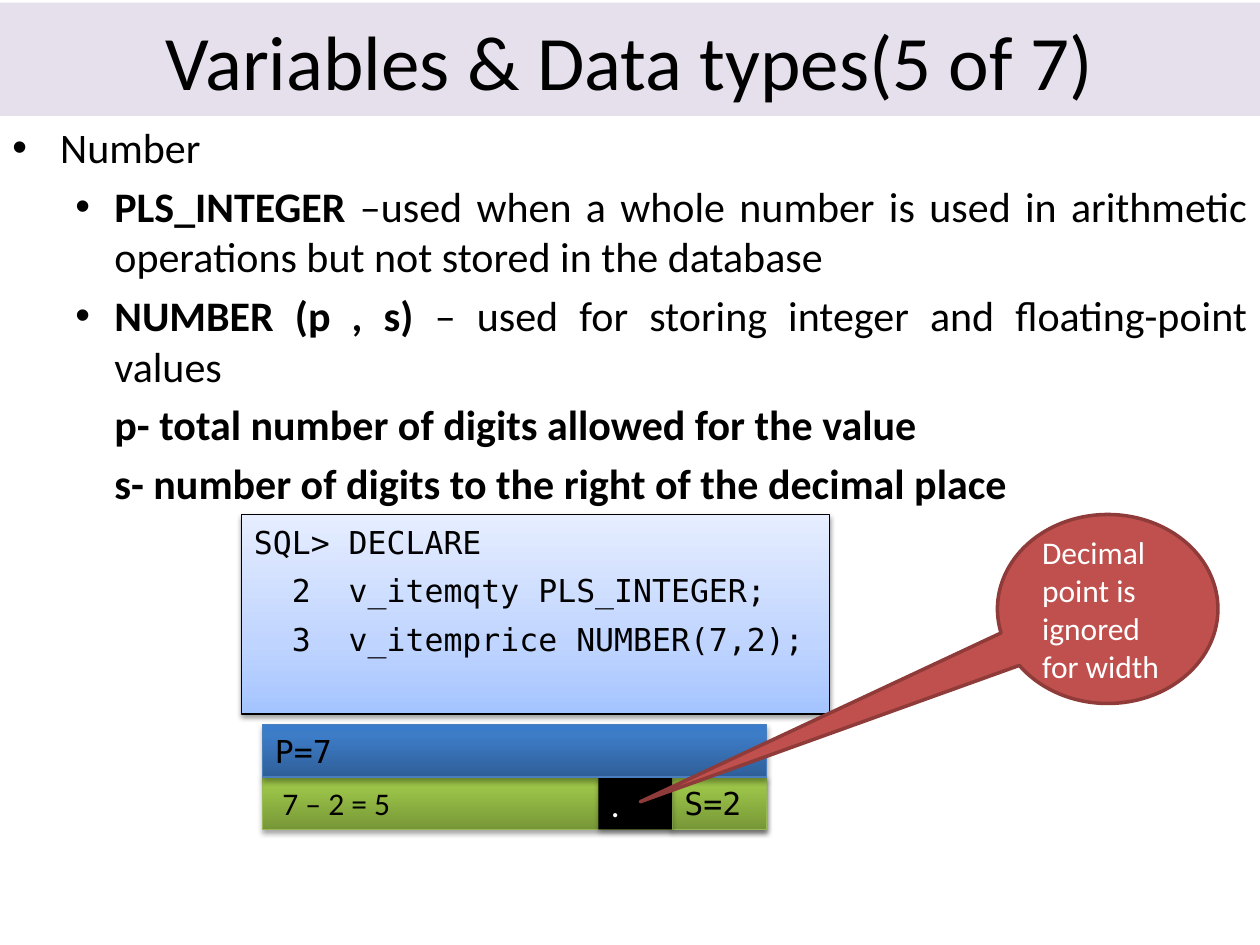
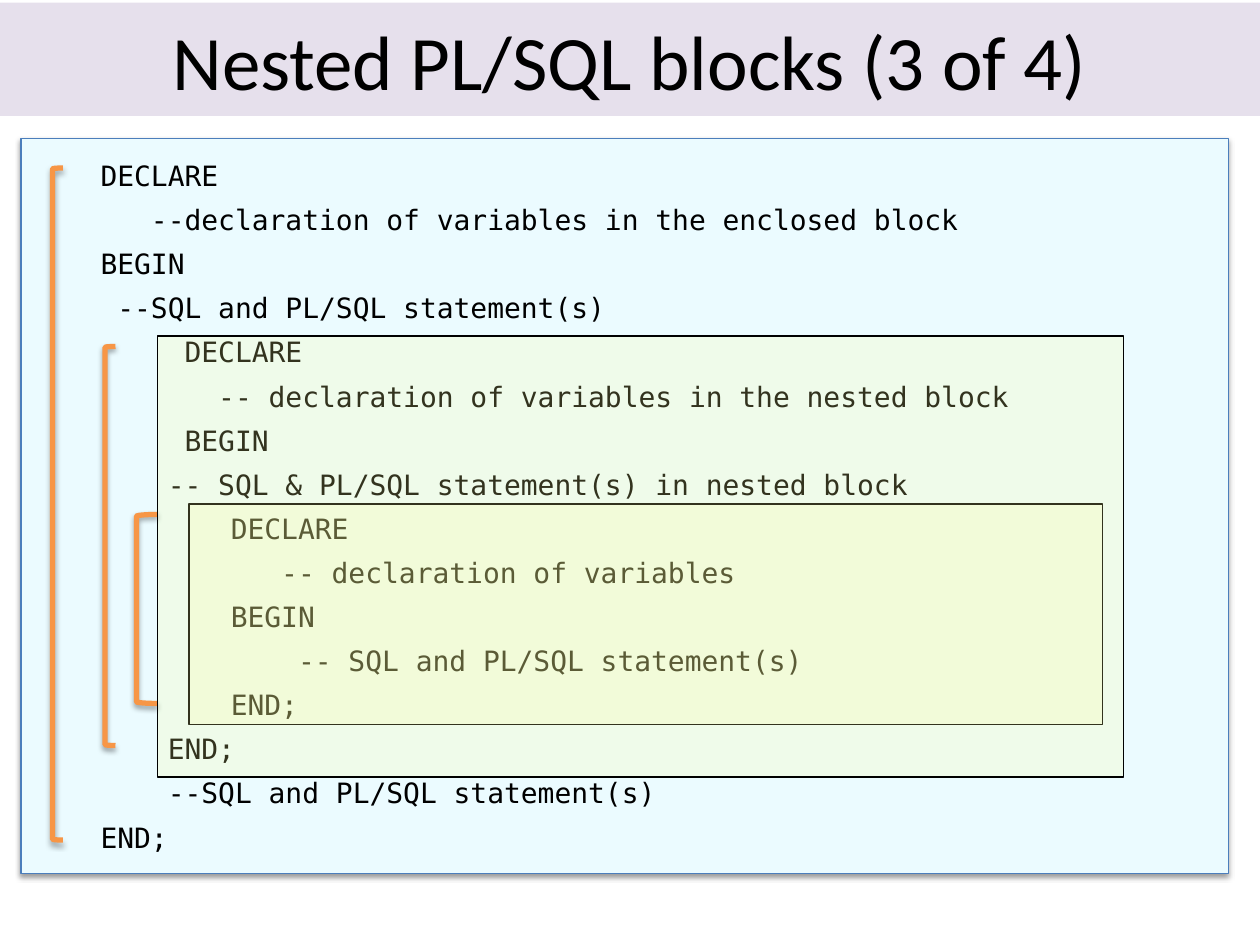
import pptx
import pptx.util
import pptx.dml.color
import pptx.enum.shapes
import pptx.enum.text
import pptx.oxml
import pptx.oxml.ns

Pt = pptx.util.Pt
Kind = pptx.enum.shapes.MSO_SHAPE
Align = pptx.enum.text.PP_ALIGN
Anchor = pptx.enum.text.MSO_ANCHOR
qn = pptx.oxml.ns.qn
NS = pptx.oxml.ns.nsdecls("a")

SANS, MONO = "Calibri", "DejaVu Sans Mono"
BLACK, WHITE = "000000", "FFFFFF"
BLUE = [(0, "2F5F99"), (80, "3D7CC7"), (100, "3A7CCB")]
GREEN = [(0, "779737"), (80, "9BC348"), (100, "9DC746")]
PALE = [(0, "A4C4FF"), (35, "BFD4FF"), (100, "E6EEFF")]
SOFT = (38, 1.6)
DEEP = (35, 1.8)


def hue(code):
    return pptx.dml.color.RGBColor.from_string(code)


def node(xml):
    return pptx.oxml.parse_xml(xml.replace(">", f" {NS}>", 1))


def write(box, text, lead="", size=18, face=SANS, color=BLACK, bold=False,
          align=Align.LEFT, gap=0, left=0, hang=0, mark=None):
    frame = box.text_frame
    first = not frame.text
    para = frame.paragraphs[0] if first else frame.add_paragraph()
    para.alignment = align
    para.space_before = Pt(0 if first else gap)
    props = para._p.get_or_add_pPr()
    props.set("marL", str(pptx.util.Inches(left)))
    props.set("indent", str(pptx.util.Inches(-hang)))
    if mark:
        props.append(node('<a:buFont typeface="Arial"></a:buFont>'))
        props.append(node(f'<a:buChar char="{mark}"></a:buChar>'))
    for part, heavy in ((lead, True), (text, bold)):
        if part:
            run = para.add_run()
            run.text = part
            font = run.font
            font.size, font.name, font.bold = Pt(size), face, heavy
            font.color.rgb = hue(color)


class Deck:
    cols, rows = 120, 90
    band = "E6E0EC"

    def __init__(self):
        self.file = pptx.Presentation()
        self.file.slide_width = pptx.util.Inches(10)
        self.file.slide_height = pptx.util.Inches(7.5)
        self.slide = None

    def place(self, x, y, w, h):
        wide = self.file.slide_width / self.cols
        high = self.file.slide_height / self.rows
        return round(x * wide), round(y * high), round(w * wide), round(h * high)

    def page(self, title):
        self.slide = self.file.slides.add_slide(self.file.slide_layouts[6])
        bar = self.shape(0, 0.25, 120, 10.8, fill=self.band)
        write(bar, title, size=44, align=Align.CENTER)

    def frame(self, box, anchor=Anchor.MIDDLE):
        box.text_frame.word_wrap = True
        box.text_frame.vertical_anchor = anchor
        return box

    def text(self, *cells):
        return self.frame(self.slide.shapes.add_textbox(*self.place(*cells)), Anchor.TOP)

    def shape(self, *cells, kind=Kind.RECTANGLE, fill=None, alpha=None,
              line=None, width=0.75, shade=None, bends=()):
        box = self.slide.shapes.add_shape(kind, *self.place(*cells))
        for spot, bend in enumerate(bends):
            box.adjustments[spot] = bend
        self.paint(box, fill, alpha)
        if line:
            box.line.color.rgb = hue(line)
            box.line.width = Pt(width)
        else:
            box.line.fill.background()
        box.shadow.inherit = False
        if shade:
            self.shade(box, *shade)
        return self.frame(box)

    def paint(self, box, fill, alpha):
        props = box._element.spPr
        if fill is None:
            box.fill.background()
        elif isinstance(fill, list):
            box.fill.gradient()
            box.fill.gradient_angle = 90
            stops = "".join(f'<a:gs pos="{at * 1000}"><a:srgbClr val="{code}"/></a:gs>'
                            for at, code in fill)
            grad = props.find(qn("a:gradFill"))
            grad.replace(grad.find(qn("a:gsLst")), node(f"<a:gsLst>{stops}</a:gsLst>"))
        else:
            box.fill.solid()
            box.fill.fore_color.rgb = hue(fill)
            if alpha:
                tint = props.find(qn("a:solidFill")).find(qn("a:srgbClr"))
                tint.append(node(f'<a:alpha val="{alpha * 1000}"></a:alpha>'))

    def shade(self, box, alpha, drop):
        box._element.spPr.find(qn("a:effectLst")).append(node(
            f'<a:outerShdw blurRad="{Pt(3.1)}" dist="{Pt(drop)}" dir="5400000" rotWithShape="0">'
            f'<a:srgbClr val="{BLACK}"><a:alpha val="{alpha * 1000}"/></a:srgbClr></a:outerShdw>'))

    def panel(self, *cells, fill, line):
        return self.shape(*cells, kind=Kind.ROUNDED_RECTANGLE, bends=[0],
                          fill=fill, line=line, shade=SOFT)

    def bar(self, *cells, text, fill, line=None, **form):
        box = self.shape(*cells, fill=fill, line=line, shade=DEEP)
        write(box, text, **form)
        return box

    def brace(self, *cells):
        self.shape(*cells, kind=Kind.LEFT_BRACKET, line="F79646", width=3, shade=DEEP)

    def veil(self, *cells):
        self.shape(*cells, fill="FFFF99", alpha=20, line=BLACK, width=1)


def types(deck):
    deck.page("Variables & Data types(5 of 7)")
    body = deck.text(0, 11, 120, 79)
    form = dict(size=24, gap=4.8, align=Align.JUSTIFY)
    write(body, "Number", left=0.38, hang=0.38, mark="•", **form)
    for lead, text in (
            ("PLS_INTEGER", " –used when a whole number is used in arithmetic "
             "operations but not stored in the database"),
            ("NUMBER (p , s) ", "– used for storing integer and floating-point values")):
        write(body, text, lead=lead, left=0.81, hang=0.31, mark="•", **form)
    for text in ("p- total number of digits allowed for the value",
                 "s- number of digits to the right of the decimal place"):
        write(body, text, bold=True, left=0.81, **form)

    code = deck.panel(23, 49, 56, 19, fill=PALE, line=BLACK)
    code.text_frame.margin_bottom = pptx.util.Inches(0.43)
    for text in ("SQL> DECLARE", "  2  v_itemqty PLS_INTEGER;",
                 "  3  v_itemprice NUMBER(7,2);"):
        write(code, text, face=MONO, gap=6)

    deck.bar(25, 74, 48, 5, text="7 – 2 = 5", fill=GREEN, line="98B955", left=0.06)
    deck.bar(64, 74, 9, 5, text="S=2", fill=GREEN, line="98B955", face=MONO)
    deck.bar(57, 74, 7, 5, text=".", fill=BLACK, size=20, color=WHITE)
    deck.bar(25, 69, 48, 5, text="P=7", fill=BLUE, line="4B7EBC", face=MONO)
    note = deck.shape(95, 49, 21, 18, kind=Kind.OVAL_CALLOUT, bends=[-2.12, 1.02],
                      fill="C0504D", line="8E3B39", width=2)
    write(note, "Decimal point is ignored for width", color=WHITE)


def nested(deck):
    deck.page("Nested PL/SQL blocks (3 of 4)")
    code = deck.panel(2, 13.2, 115, 70, fill="EBFBFF", line="4B7EBC")
    outer = """\
    DECLARE
       --declaration of variables in the enclosed block
    BEGIN
     --SQL and PL/SQL statement(s)
         DECLARE
           -- declaration of variables in the nested block
         BEGIN
        -- SQL & PL/SQL statement(s) in nested block"""
    inner = """\
        DECLARE
           -- declaration of variables
        BEGIN
            -- SQL and PL/SQL statement(s)
        END;"""
    close = """\
        END;
        --SQL and PL/SQL statement(s)
    END;"""
    for block, left in ((outer, 0), (inner, 0.5), (close, 0)):
        for text in block.split("\n"):
            write(code, text, size=16, face=MONO, gap=6, left=left)
    deck.brace(5, 16, 1, 64)
    deck.brace(10, 33, 1, 38)
    deck.brace(13, 49, 2, 18)
    deck.veil(18, 48, 87, 21)
    deck.veil(15, 32, 92, 42)


def main():
    deck = Deck()
    types(deck)
    nested(deck)
    deck.file.save("out.pptx")


if __name__ == "__main__":
    main()
